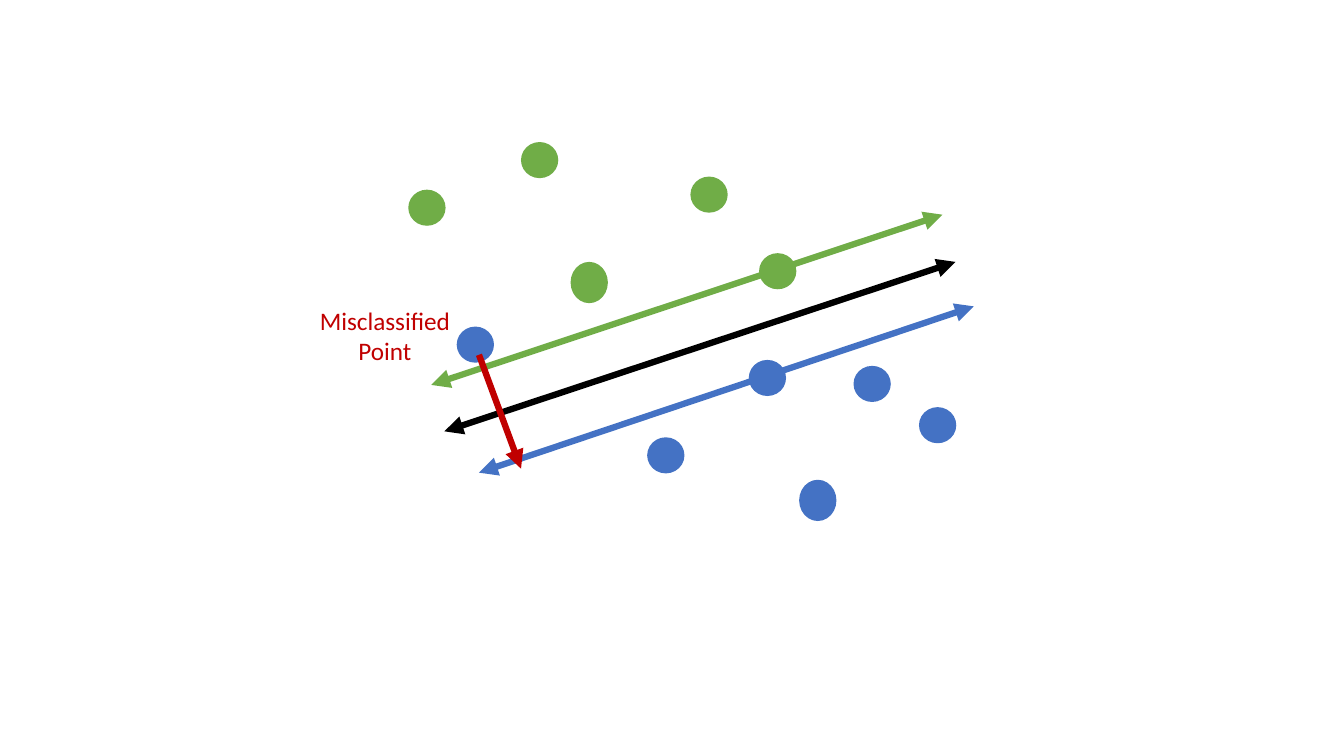
import pptx
import pptx.util
import pptx.dml.color
import pptx.enum.shapes
import pptx.enum.text
import pptx.oxml.ns
import lxml.etree

Cm = pptx.util.Cm
Pt = pptx.util.Pt
RGBColor = pptx.dml.color.RGBColor

GREEN = RGBColor(0x70, 0xAD, 0x47)
BLUE = RGBColor(0x44, 0x72, 0xC4)
RED = RGBColor(0xC0, 0x00, 0x00)
BLACK = RGBColor(0x00, 0x00, 0x00)

ROUND, TALL = 0.91, 1.04
GREENS = [(10.29, 4.78, ROUND), (13.13, 3.58, ROUND), (17.4, 4.45, ROUND),
          (14.38, 6.6, TALL), (19.13, 6.38, ROUND)]
BLUES = [(16.31, 11.02, ROUND), (18.87, 9.07, ROUND), (21.51, 9.22, ROUND),
         (20.14, 12.09, TALL), (23.16, 10.26, ROUND), (11.51, 8.23, ROUND)]


class Plot:
    """Draws dots, arrows and labels on one slide in a shared style."""

    font = "Calibri"
    size = Pt(18)
    weight = Pt(4.5)
    width = Cm(0.94)

    def __init__(self, slide):
        self.shapes = slide.shapes

    def dot(self, left, top, height, color):
        kind = pptx.enum.shapes.MSO_SHAPE.OVAL
        oval = self.shapes.add_shape(kind, Cm(left), Cm(top), self.width, Cm(height))
        oval.shadow.inherit = False
        oval.fill.solid()
        oval.fill.fore_color.rgb = color
        oval.line.fill.background()

    def arrow(self, start, end, color, tips=("headEnd", "tailEnd")):
        kind = pptx.enum.shapes.MSO_CONNECTOR.STRAIGHT
        ends = [Cm(value) for value in start + end]
        link = self.shapes.add_connector(kind, *ends)
        link.line.color.rgb = color
        link.line.width = self.weight
        qn = pptx.oxml.ns.qn
        props = link.element.spPr
        stroke = props.find(qn("a:ln"))
        for tip in tips:
            lxml.etree.SubElement(stroke, qn("a:" + tip), type="triangle")
        lxml.etree.SubElement(props, qn("a:effectLst"))

    def label(self, text, left, top, width, height, color):
        box = self.shapes.add_textbox(Cm(left), Cm(top), Cm(width), Cm(height))
        frame = box.text_frame
        frame.word_wrap = True
        frame.auto_size = pptx.enum.text.MSO_AUTO_SIZE.SHAPE_TO_FIT_TEXT
        para = frame.paragraphs[0]
        para.text = text
        para.alignment = pptx.enum.text.PP_ALIGN.CENTER
        para.font.name = self.font
        para.font.size = self.size
        para.font.color.rgb = color


def main():
    deck = pptx.Presentation()
    deck.slide_width = Cm(33.87)
    deck.slide_height = Cm(19.05)
    plot = Plot(deck.slides.add_slide(deck.slide_layouts[6]))

    plot.arrow((11.2, 10.87), (24.08, 6.6), BLACK)
    for color, spots in ((GREEN, GREENS), (BLUE, BLUES)):
        for spot in spots:
            plot.dot(*spot, color)
    plot.label("Misclassified Point", 7.34, 7.57, 4.72, 1.8, RED)
    plot.arrow((12.07, 11.91), (24.54, 7.72), BLUE)
    plot.arrow((10.87, 9.7), (23.75, 5.41), GREEN)
    plot.arrow((12.07, 8.94), (13.13, 11.81), RED, ("tailEnd",))

    deck.save("out.pptx")


if __name__ == "__main__":
    main()
